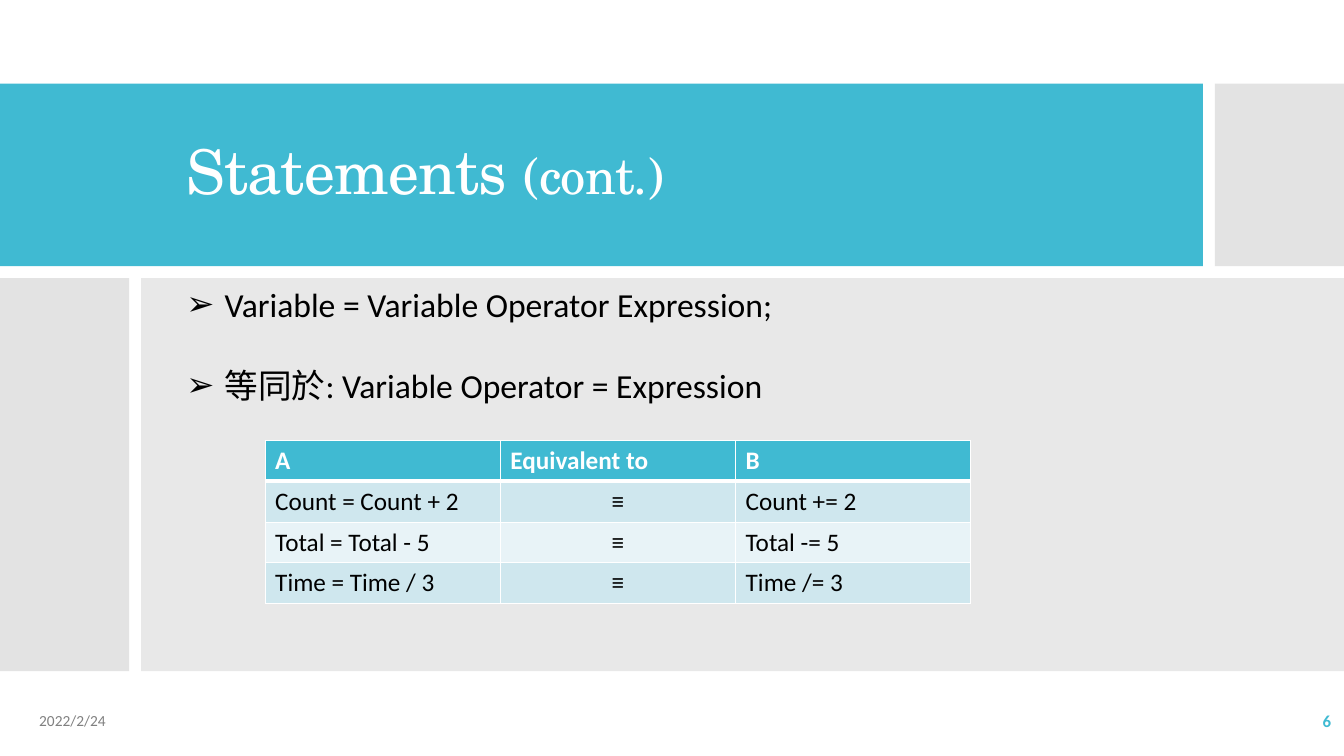
from lxml import etree
from pptx import Presentation
from pptx import util as u
from pptx.dml import color
from pptx.enum import shapes, text
from pptx.oxml import ns

TEAL, GREY, PALE, WHITE, BLACK = "40BAD2", "C8C8C8", "D9D9D9", "FFFFFF", "000000"
BODY_FONT = "Calibri"
HEADER = ["A", "Equivalent to", "B"]
RULES = [
    ["Count = Count + 2", "≡", "Count += 2"],
    ["Total = Total - 5", "≡", "Total -= 5"],
    ["Time = Time / 3", "≡", "Time /= 3"],
]


def rgb(value):
    return color.RGBColor.from_string(value)


def add_xml(parent, tag, **attributes):
    return etree.SubElement(parent, ns.qn(tag), attributes)


def add_span(para, words, ink, **formats):
    span = para.add_run()
    span.text = words
    for name, value in ({"name": BODY_FONT} | formats).items():
        setattr(span.font, name, value)
    span.font.color.rgb = rgb(ink)
    return span


def add_panel(page, box, fill, opacity=100):
    panel = page.shapes.add_shape(
        shapes.MSO_SHAPE.RECTANGLE, *map(u.Inches, box))
    panel.shadow.inherit = False
    panel.line.fill.background()
    panel.fill.solid()
    panel.fill.fore_color.rgb = rgb(fill)
    if opacity < 100:
        shade = panel.fill._xPr.find(".//" + ns.qn("a:srgbClr"))
        add_xml(shade, "a:alpha", val=str(opacity * 1000))


def add_text_frame(page, box, anchor=text.MSO_ANCHOR.MIDDLE):
    frame = page.shapes.add_textbox(*map(u.Inches, box)).text_frame
    frame.word_wrap = True
    frame.vertical_anchor = anchor
    return frame


def add_title_band(page, left, top, width, height):
    gap, side = 0.12, 1.28
    main = width - side - gap
    add_panel(page, (left, top, main, height), TEAL)
    add_panel(page, (left + main + gap, top, side, height), GREY, 50)
    frame = add_text_frame(page, (left + 1.75, top + 0.36, 9.82, 1.09))
    para = frame.paragraphs[0]
    para.line_spacing = 0.9
    for words, size in (("Statements ", 44), ("(cont.)", 36)):
        span = add_span(para, words, WHITE,
                        name="TeX Gyre Schola", size=u.Pt(size))
        span.font._element.set("spc", "-60")


def add_body(page, left, top, width, height):
    gap, side = 0.12, 1.28
    add_panel(page, (left, top, side, height), GREY, 50)
    inner = side + gap
    add_panel(page, (left + inner, top, width - inner, height), PALE, 60)
    add_bullets(page, (left + 1.75, top + 0.01, 9.82, 1.31))
    add_rule_table(page, (left + 2.63, top + 1.61, 7, 1.62))


def add_bullets(page, box):
    frame = add_text_frame(page, box, text.MSO_ANCHOR.TOP)
    lines = ["Variable = Variable Operator Expression;",
             "等同於: Variable Operator = Expression"]
    for index, line in enumerate(lines):
        para = frame.add_paragraph() if index else frame.paragraphs[0]
        if index:
            para.space_before = u.Pt(29)
        indent = u.Inches(0.38)
        props = para._p.get_or_add_pPr()
        props.set("marL", str(indent))
        props.set("indent", str(-indent))
        add_xml(props, "a:buFont", typeface="Wingdings 3")
        props[-1].set("typeface", "Arial")
        add_xml(props, "a:buChar", char="➢")
        add_span(para, line, BLACK, size=u.Pt(24))


def set_borders(cell, widths):
    """Draw white borders; widths maps a side (L, R, T, B) to points."""
    props = cell._tc.get_or_add_tcPr()
    for side, width in widths.items():
        line = add_xml(props, f"a:ln{side}", w=str(u.Pt(width)))
        add_xml(add_xml(line, "a:solidFill"), "a:srgbClr", val=WHITE)


def add_rule_table(page, box):
    rows = [HEADER] + RULES
    table = page.shapes.add_table(
        len(rows), len(HEADER), *map(u.Inches, box)).table
    for row, values in enumerate(rows):
        is_header = row == 0
        fill = TEAL if is_header else ("E8F3F7", "CFE7EE")[row % 2]
        for column, value in enumerate(values):
            cell = table.cell(row, column)
            set_borders(cell, {"L": 1, "R": 1, "T": 3 if row == 1 else 1,
                               "B": 3 if is_header else 1})
            cell.fill.solid()
            cell.fill.fore_color.rgb = rgb(fill)
            para = cell.text_frame.paragraphs[0]
            if column == 1 and not is_header:
                para.alignment = text.PP_ALIGN.CENTER
            add_span(para, value, WHITE if is_header else BLACK,
                     size=u.Pt(18), bold=is_header)


def add_footer(page, left, top, width, height):
    date = add_text_frame(page, (left, top, 3, height)).paragraphs[0]
    add_span(date, "2022/2/24", "808080", size=u.Pt(11))
    number_box = (left + width - 1.67, top, 1.67, height)
    number = add_text_frame(page, number_box).paragraphs[0]
    number.alignment = text.PP_ALIGN.RIGHT
    add_span(number, "6", TEAL, size=u.Pt(12), bold=True)


def main():
    deck = Presentation()
    deck.slide_width, deck.slide_height = u.Inches(13.33), u.Inches(7.5)
    page = deck.slides.add_slide(deck.slide_layouts[6])
    add_title_band(page, 0, 0.83, 13.33, 1.81)
    add_body(page, 0, 2.76, 13.33, 3.9)
    add_footer(page, 0.29, 6.95, 13.01, 0.4)
    deck.save("out.pptx")


if __name__ == "__main__":
    main()
